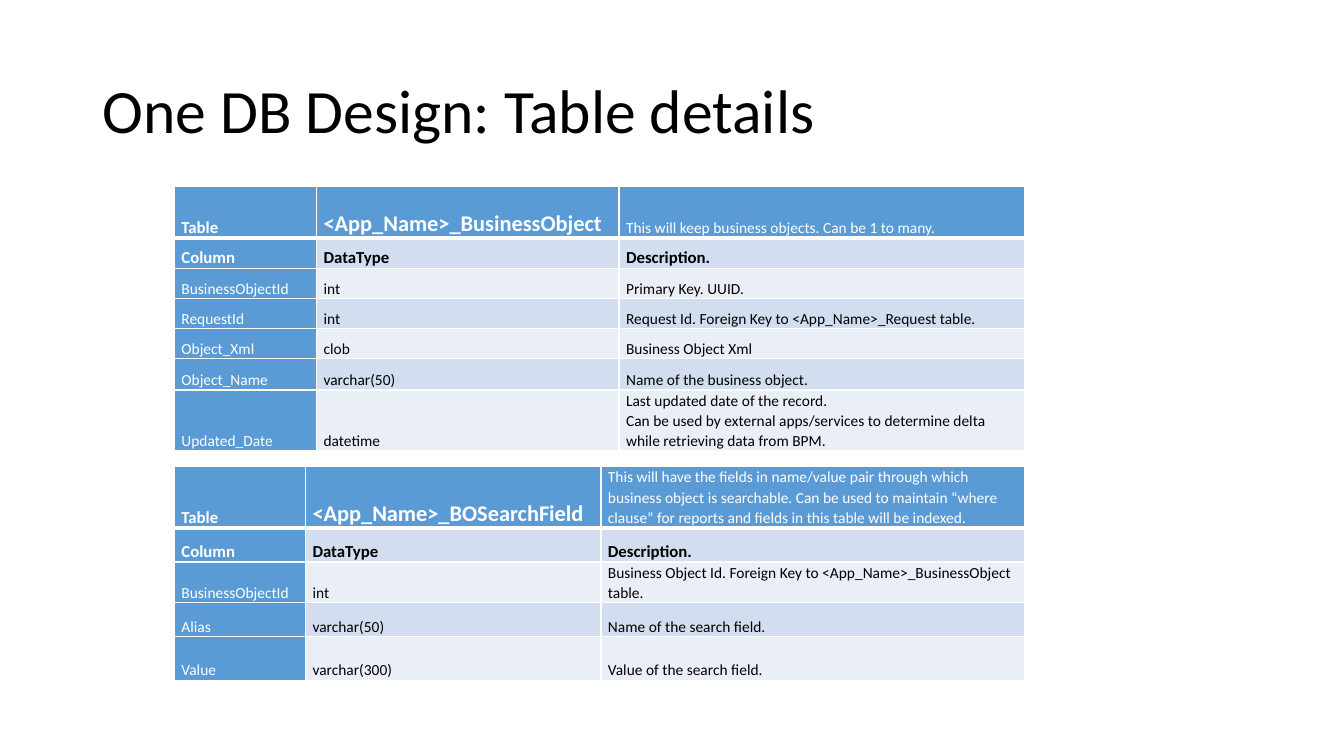
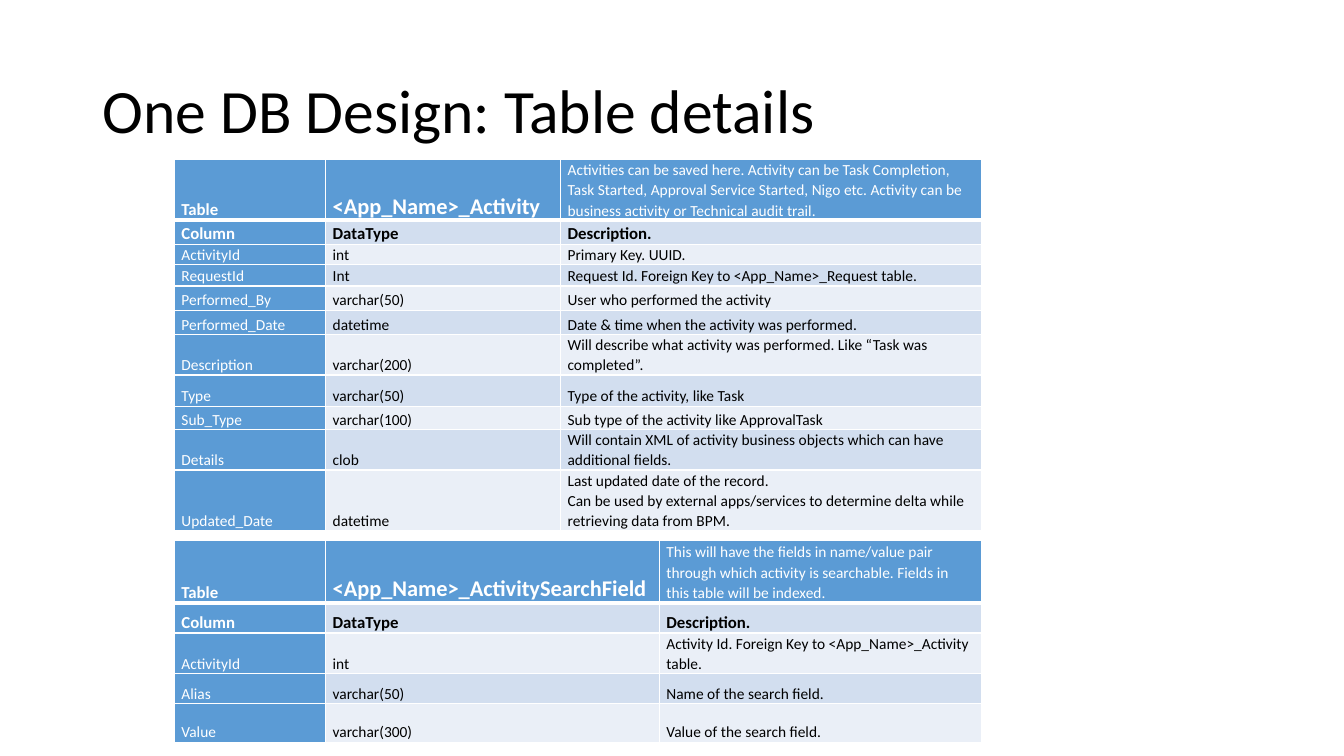
from lxml import etree
from pptx import Presentation
from pptx.dml.color import RGBColor
from pptx.enum.text import MSO_ANCHOR, MSO_AUTO_SIZE, PP_ALIGN
from pptx.oxml.ns import qn
from pptx.util import Inches, Pt

MIDDLE, BOTTOM = MSO_ANCHOR.MIDDLE, MSO_ANCHOR.BOTTOM
LEFT = PP_ALIGN.LEFT
NO_AUTOFIT = MSO_AUTO_SIZE.NONE

COLORS = {
    "text": "000000",
    "inverse": "FFFFFF",
    "border": "FFFFFF",
    "header": "5B9BD5",
    "band_dark": "D2DEEF",
    "band_light": "EAEFF7",
}
FONT = "Calibri"
TITLE = "One DB Design: Table details"
TITLE_ONLY = 5
TABLE_LEFT = 1.73
THIN, THICK = 1, 3

HEADINGS = ("Column", "DataType", "Description.")
UPDATED_DATE = (
    "Updated_Date",
    "datetime",
    "Last updated date of the record.\n"
    "Can be used by external apps/services to determine delta while retrieving data from BPM.",
)
REQUEST_REFERENCE = "Request Id. Foreign Key to <App_Name>_Request table."
SEARCH_FIELDS = [
    ("Alias", "varchar(50)", "Name of the search field."),
    ("Value", "varchar(300)", "Value of the search field."),
]

BUSINESS_OBJECT = {
    "name": "<App_Name>_BusinessObject",
    "purpose": "This will keep business objects. Can be 1 to many.",
    "top": 1.85,
    "widths": [1.41, 3, 4.02],
    "heights": [0.51, 0.3, 0.3, 0.3, 0.3, 0.31, 0.4],
    "fields": [
        ("BusinessObjectId", "int", "Primary Key. UUID."),
        ("RequestId", "int", REQUEST_REFERENCE),
        ("Object_Xml", "clob", "Business Object Xml"),
        ("Object_Name", "varchar(50)", "Name of the business object."),
        UPDATED_DATE,
    ],
}
BO_SEARCH_FIELD = {
    "name": "<App_Name>_BOSearchField",
    "purpose": "This will have the fields in name/value pair through which business object "
    "is searchable. Can be used to maintain “where clause” for reports and fields in this "
    "table will be indexed.",
    "top": 4.63,
    "widths": [1.3, 2.93, 4.2],
    "heights": [0.44, 0.34, 0.34, 0.34, 0.43],
    "fields": [
        ("BusinessObjectId", "int",
         "Business Object Id. Foreign Key to <App_Name>_BusinessObject table."),
        *SEARCH_FIELDS,
    ],
}
ACTIVITY = {
    "name": "<App_Name>_Activity",
    "purpose": "Activities can be saved here. Activity can be Task Completion, Task Started, "
    "Approval Service Started, Nigo etc. Activity can be business activity or Technical "
    "audit trail.",
    "top": 1.58,
    "widths": [1.5, 2.33, 4.18],
    "heights": [0.55, 0.24, 0.18, 0.21, 0.24, 0.24, 0.24, 0.31, 0.23, 0.37, 0.55],
    "fields": [
        ("ActivityId", "int", "Primary Key. UUID."),
        ("RequestId", "Int", REQUEST_REFERENCE),
        ("Performed_By", "varchar(50)", "User who performed the activity"),
        ("Performed_Date", "datetime", "Date & time when the activity was performed."),
        ("Description", "varchar(200)",
         "Will describe what activity was performed. Like “Task was completed”."),
        ("Type", "varchar(50)", "Type of the activity, like Task"),
        ("Sub_Type", "varchar(100)", "Sub type of the activity like ApprovalTask"),
        ("Details", "clob",
         "Will contain XML of activity business objects which can have additional fields."),
        UPDATED_DATE,
    ],
}
ACTIVITY_SEARCH_FIELD = {
    "name": "<App_Name>_ActivitySearchField",
    "purpose": "This will have the fields in name/value pair through which activity is "
    "searchable. Fields in this table will be indexed.",
    "top": 5.36,
    "widths": [1.5, 3.31, 3.2],
    "heights": [0.62, 0.3, 0.3, 0.3, 0.38],
    "fields": [
        ("ActivityId", "int", "Activity Id. Foreign Key to <App_Name>_Activity table."),
        *SEARCH_FIELDS,
    ],
}
SLIDES = [(BUSINESS_OBJECT, BO_SEARCH_FIELD), (ACTIVITY, ACTIVITY_SEARCH_FIELD)]


def rgb(color):
    return RGBColor.from_string(COLORS[color])


def write_text(frame, text, size=11, color="text", bold=False, spacing=1.07):
    frame.word_wrap = True
    for index, line in enumerate(text.split("\n")):
        paragraph = frame.add_paragraph() if index else frame.paragraphs[0]
        paragraph.alignment = LEFT
        paragraph.line_spacing = spacing
        run = paragraph.add_run()
        run.text = line
        run.font.name = FONT
        run.font.size = Pt(size)
        run.font.bold = bold
        run.font.color.rgb = rgb(color)


def set_borders(cell, top, bottom):
    properties = cell._tc.get_or_add_tcPr()
    for side, width in (("L", THIN), ("R", THIN), ("T", top), ("B", bottom)):
        line = etree.SubElement(properties, qn(f"a:ln{side}"), w=str(Pt(width)))
        fill = etree.SubElement(line, qn("a:solidFill"))
        etree.SubElement(fill, qn("a:srgbClr"), val=COLORS["border"])


def cell_fill(row, column):
    if row == 0 or column == 0:
        return "header"
    return "band_dark" if row % 2 else "band_light"


def text_format(row, column):
    size = 11
    if row == 0 and column == 1:
        size = 16
    elif row == 1 or (row == 0 and column == 0):
        size = 12
    return {
        "size": size,
        "bold": size > 11,
        "color": "inverse" if row == 0 or column == 0 else "text",
    }


def format_cell(cell, text, row, column):
    cell.margin_left = cell.margin_right = Inches(0.07)
    cell.margin_top = cell.margin_bottom = 0
    cell.vertical_anchor = BOTTOM
    set_borders(cell, THICK if row == 1 else THIN, THICK if row == 0 else THIN)
    cell.fill.solid()
    cell.fill.fore_color.rgb = rgb(cell_fill(row, column))
    write_text(cell.text_frame, text, **text_format(row, column))


def add_schema(slide, schema):
    rows = [("Table", schema["name"], schema["purpose"]), HEADINGS, *schema["fields"]]
    widths, heights = schema["widths"], schema["heights"]
    table = slide.shapes.add_table(
        len(rows), len(widths), Inches(TABLE_LEFT), Inches(schema["top"]),
        Inches(sum(widths)), Inches(sum(heights)),
    ).table
    table.horz_banding = False
    table.first_col = True
    for column, width in zip(table.columns, widths):
        column.width = Inches(width)
    for row, (values, height) in enumerate(zip(rows, heights)):
        table.rows[row].height = Inches(height)
        for column, text in enumerate(values):
            format_cell(table.cell(row, column), text, row, column)


def set_title(slide):
    title = slide.shapes.title
    title.left, title.top = Inches(0.92), Inches(0.4)
    title.width, title.height = Inches(11.5), Inches(1.45)
    frame = title.text_frame
    frame.auto_size = NO_AUTOFIT
    frame.vertical_anchor = MIDDLE
    write_text(frame, TITLE, size=44, spacing=0.9)


def main():
    deck = Presentation()
    deck.slide_width, deck.slide_height = Inches(13.33), Inches(7.5)
    for schemas in SLIDES:
        slide = deck.slides.add_slide(deck.slide_layouts[TITLE_ONLY])
        set_title(slide)
        for schema in schemas:
            add_schema(slide, schema)
    deck.save("out.pptx")


if __name__ == "__main__":
    main()
